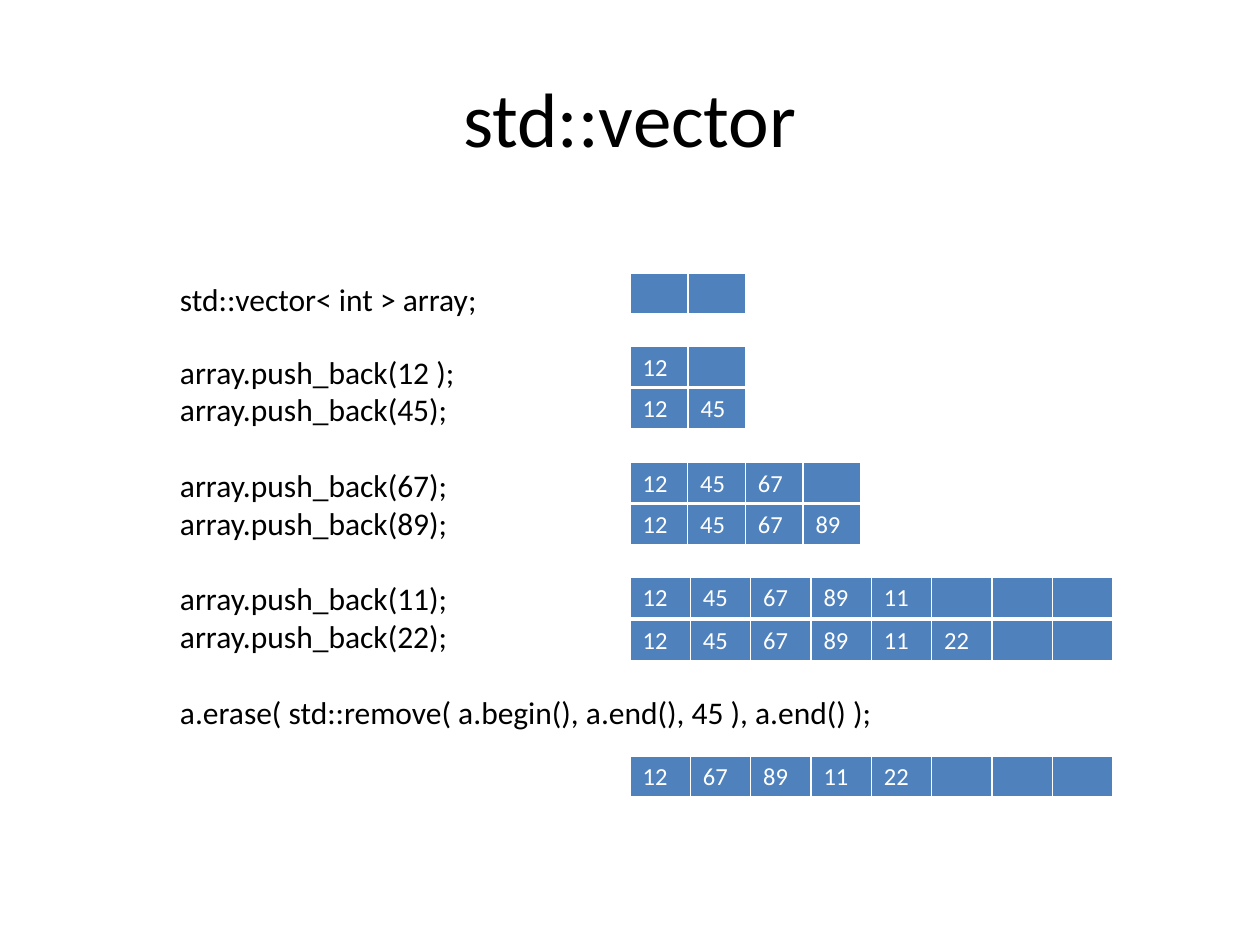
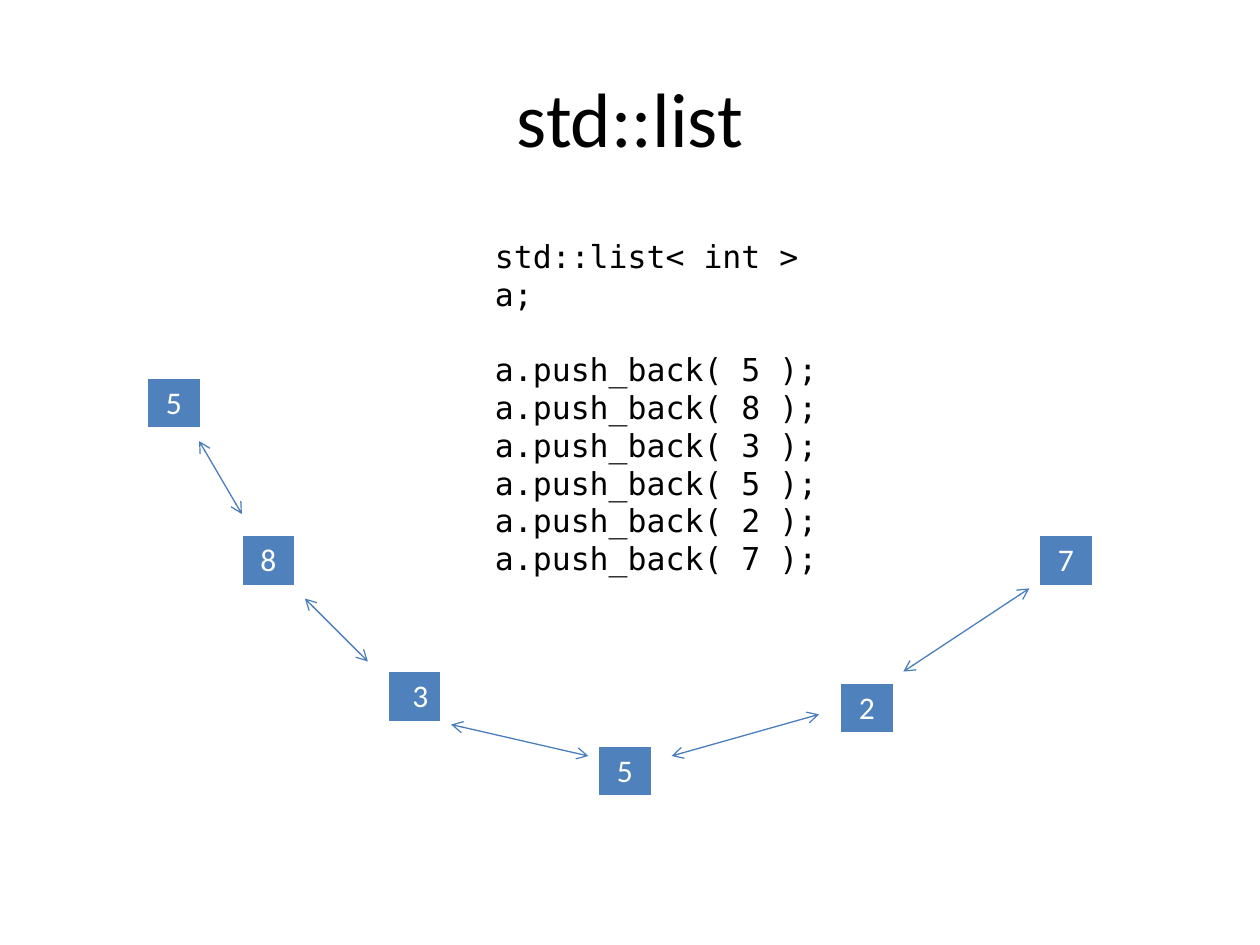
"""Builds two slides that show how std::vector and std::list store their values."""
from lxml.etree import SubElement
from pptx import Presentation
from pptx.dml.color import RGBColor
from pptx.enum.shapes import MSO_CONNECTOR
from pptx.enum.text import MSO_ANCHOR, MSO_AUTO_SIZE, PP_ALIGN
from pptx.oxml.ns import qn
from pptx.util import Inches, Pt

COLORS = {"text": "000000", "cell": "4F81BD", "cell_text": "FFFFFF",
          "border": "FFFFFF", "link": "4B7EBC"}
BODY_FONT, CODE_FONT = "Calibri", "DejaVu Sans Mono"
BORDERS = {"lnL": 1, "lnR": 1, "lnT": 1, "lnB": 3}
GROUP_GAP = 21.6

ARRAY_LEFT, ROW_HEIGHT = 5, 0.33
ARRAYS = [
    (2.17, 2, []),
    (2.75, 2, [12]),
    (3.08, 2, [12, 45]),
    (3.67, 4, [12, 45, 67]),
    (4, 4, [12, 45, 67, 89]),
    (4.58, 8, [12, 45, 67, 89, 11]),
    (4.92, 8, [12, 45, 67, 89, 11, 22]),
    (6, 8, [12, 67, 89, 11, 22]),
]
ARRAY_WIDTHS = {2: 0.92, 4: 1.83, 8: 3.83}
PUSHES = [
    ["array.push_back(12 );", "array.push_back(45);"],
    ["array.push_back(67);", "array.push_back(89);"],
    ["array.push_back(11);", "array.push_back(22);"],
    ["a.erase( std::remove( a.begin(), a.end(), 45 ), a.end() );"],
]

NODE_WIDTH, NODE_HEIGHT = 0.42, 0.41
NODES = [
    (5, 1.17, 3, PP_ALIGN.CENTER),
    (8, 1.92, 4.25, PP_ALIGN.CENTER),
    (3, 3.08, 5.33, PP_ALIGN.RIGHT),
    (5, 4.75, 5.92, PP_ALIGN.CENTER),
    (2, 6.67, 5.42, PP_ALIGN.CENTER),
    (7, 8.25, 4.25, PP_ALIGN.CENTER),
]
LINKS = [
    (1.58, 3.5, 1.92, 4.08),
    (2.42, 4.75, 2.92, 5.25),
    (3.58, 5.75, 4.67, 6),
    (5.33, 6, 6.5, 5.67),
    (7.17, 5.33, 8.17, 4.67),
]


def rgb(name):
    return RGBColor.from_string(COLORS[name])


def apply(target, formats):
    for attribute, value in formats.items():
        setattr(target, attribute, value)


def write(paragraph, text, size, color="text", font=BODY_FONT):
    run = paragraph.add_run()
    run.text = text
    apply(run.font, {"name": font, "size": Pt(size)})
    run.font.color.rgb = rgb(color)


def add_title(slide, text):
    title = slide.shapes.add_textbox(Inches(0.5), Inches(0.3), Inches(9), Inches(1.25))
    apply(title.text_frame, {"word_wrap": True, "vertical_anchor": MSO_ANCHOR.MIDDLE})
    heading = title.text_frame.paragraphs[0]
    heading.alignment = PP_ALIGN.CENTER
    write(heading, text, 44)


def add_code(slide, bounds, groups, font=BODY_FONT, wrap=False):
    frame = slide.shapes.add_textbox(*map(Inches, bounds)).text_frame
    apply(frame, {"word_wrap": wrap, "auto_size": MSO_AUTO_SIZE.SHAPE_TO_FIT_TEXT})
    line = None
    for group in groups:
        for index, statement in enumerate(group):
            starts_group = line is not None and index == 0
            line = frame.paragraphs[0] if line is None else frame.add_paragraph()
            if starts_group:
                line.space_before = Pt(GROUP_GAP)
            write(line, statement, 18, font=font)


def add_borders(cell):
    properties = cell._tc.get_or_add_tcPr()
    for side, width in BORDERS.items():
        border = SubElement(properties, qn(f"a:{side}"), w=str(Pt(width)))
        fill = SubElement(border, qn("a:solidFill"))
        SubElement(fill, qn("a:srgbClr"), val=COLORS["border"])


def add_cells(slide, bounds, capacity, values, size, align=PP_ALIGN.LEFT):
    table = slide.shapes.add_table(1, capacity, *map(Inches, bounds)).table
    apply(table, {"first_row": False, "horz_banding": False})
    for index, cell in enumerate(table.rows[0].cells):
        add_borders(cell)
        cell.fill.solid()
        cell.fill.fore_color.rgb = rgb("cell")
        slot = cell.text_frame.paragraphs[0]
        slot.alignment = align
        if index < len(values):
            write(slot, str(values[index]), size, "cell_text")
        else:
            SubElement(slot._p, qn("a:endParaRPr"), sz=str(size * 100))


def add_link(slide, ends):
    link = slide.shapes.add_connector(MSO_CONNECTOR.STRAIGHT, *map(Inches, ends))
    link.line.color.rgb = rgb("link")
    link.line.width = Pt(0.75)
    outline = link.line._get_or_add_ln()
    for end in ("headEnd", "tailEnd"):
        SubElement(outline, qn(f"a:{end}"), type="arrow")
    SubElement(link._element.spPr, qn("a:effectLst"))


def build_vector(slide):
    add_title(slide, "std::vector")
    add_code(slide, (1.33, 2.17, 2.58, 0.4), [["std::vector< int > array;"]])
    add_code(slide, (1.33, 2.75, 5.77, 3.43), PUSHES)
    for top, capacity, values in ARRAYS:
        bounds = (ARRAY_LEFT, top, ARRAY_WIDTHS[capacity], ROW_HEIGHT)
        add_cells(slide, bounds, capacity, values, 14)


def build_list(slide):
    add_title(slide, "std::list")
    for value, left, top, align in NODES:
        add_cells(slide, (left, top, NODE_WIDTH, NODE_HEIGHT), 1, [value], 18, align)
    for ends in LINKS:
        add_link(slide, ends)
    pushes = [f"a.push_back( {value} );" for value, *_ in NODES]
    add_code(slide, (3.83, 1.83, 3, 2.83), [["std::list< int > a;"], pushes],
             CODE_FONT, wrap=True)


def main():
    deck = Presentation()
    apply(deck, {"slide_width": Inches(10), "slide_height": Inches(7.5)})
    for build in (build_vector, build_list):
        build(deck.slides.add_slide(deck.slide_layouts[6]))
    deck.save("out.pptx")


main()
